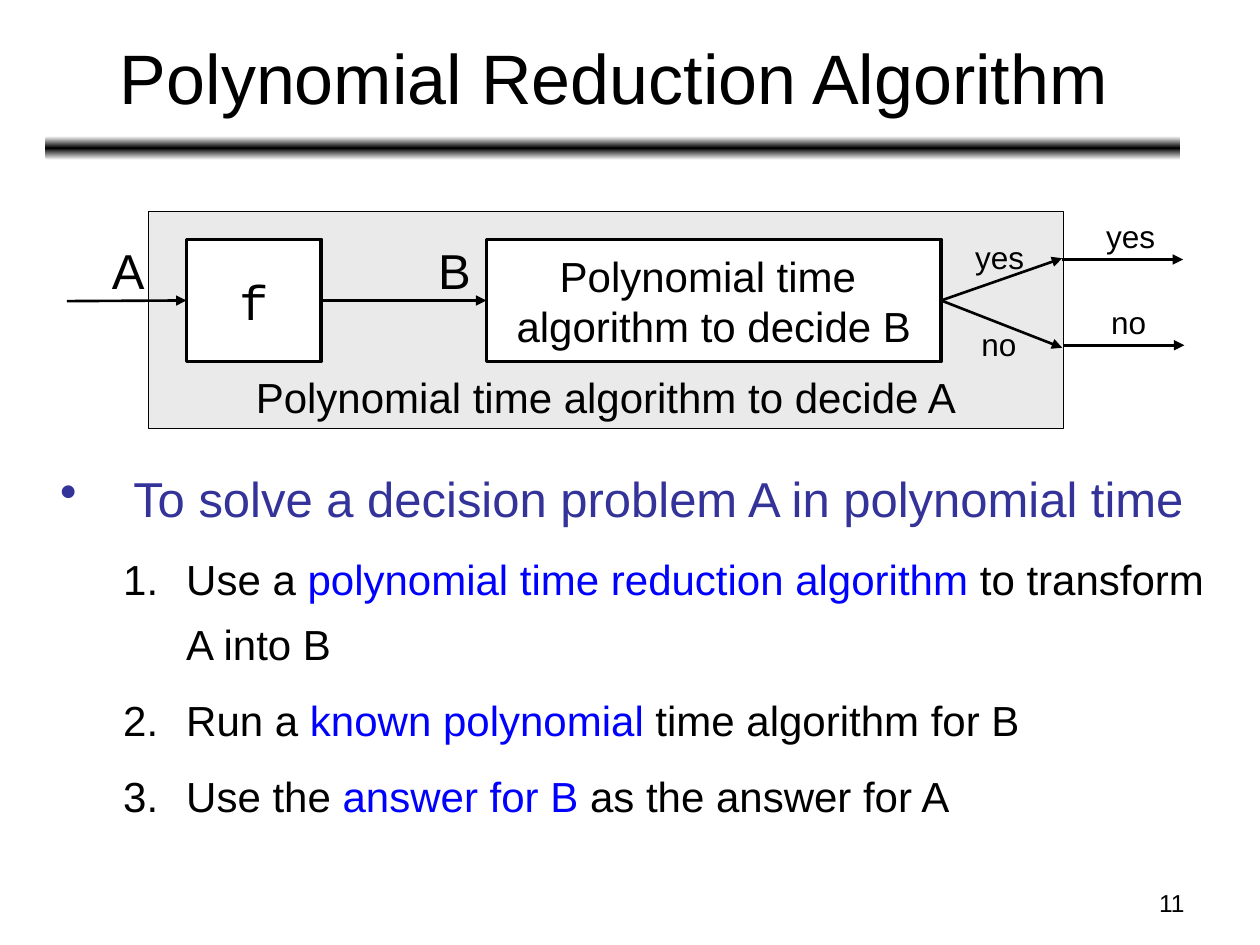
import copy
from dataclasses import dataclass
from typing import Optional

import pptx
import pptx.dml.color
import pptx.enum.shapes
import pptx.enum.text
import pptx.oxml.ns
import pptx.util
from lxml import etree
from pptx.util import Inches

BLACK, WHITE, GREY = "000000", "FFFFFF", "EAEAEA"
NAVY, BLUE = "333399", "0000FF"
ALIGN = pptx.enum.text.PP_ALIGN
ANCHOR = pptx.enum.text.MSO_ANCHOR
SHAPE = pptx.enum.shapes.MSO_SHAPE
qn = pptx.oxml.ns.qn
LEFT, RIGHT = 1, 3  # connection sites of a rectangle


@dataclass
class Box:
    x: float
    y: float
    w: float
    h: float
    lines: list[str]
    size: int = 24
    font: str = "Arial"
    fill: str = WHITE
    line: float = 2
    anchor: ANCHOR = ANCHOR.MIDDLE


@dataclass
class Label:
    x: float
    y: float
    w: float
    h: float
    text: str
    size: int
    align: ALIGN = ALIGN.LEFT
    wrap: bool = False
    anchor: ANCHOR = ANCHOR.TOP


@dataclass
class Arrow:
    x1: float
    y1: float
    x2: float
    y2: float
    source: Optional[str] = None
    target: Optional[str] = None


@dataclass
class Item:
    runs: list[tuple[str, str]]
    size: int
    indent: float
    hang: float
    before: int
    bullet: tuple[str, dict[str, str]]
    level: int = 0


def rgb(value: str) -> pptx.dml.color.RGBColor:
    return pptx.dml.color.RGBColor.from_string(value)


def add_run(p, text: str, size: int, color: str = BLACK, font: str = "Arial") -> None:
    r = p.add_run()
    r.text = text
    r.font.size = pptx.util.Pt(size)
    r.font.name = font
    r.font.color.rgb = rgb(color)


def add_rule(s) -> None:
    sp = s.shapes.add_shape(SHAPE.ROUNDED_RECTANGLE, Inches(0.36), Inches(1.08),
                            Inches(9.01), Inches(0.19))
    sp.shadow.inherit = False
    sp.line.fill.background()
    sp.fill.gradient()
    sp.fill.gradient_angle = 90
    stops = sp._element.spPr.find(qn("a:gradFill")).find(qn("a:gsLst"))
    stops.insert(1, copy.deepcopy(stops[0]))
    stops[1].set("pos", "50000")
    for stop, color in zip(sp.fill.gradient_stops, (WHITE, BLACK, WHITE)):
        stop.color.rgb = rgb(color)


def add_box(s, b: Box):
    sp = s.shapes.add_shape(SHAPE.RECTANGLE, Inches(b.x), Inches(b.y),
                            Inches(b.w), Inches(b.h))
    sp.shadow.inherit = False
    sp.fill.solid()
    sp.fill.fore_color.rgb = rgb(b.fill)
    sp.line.color.rgb = rgb(BLACK)
    sp.line.width = pptx.util.Pt(b.line)
    tf = sp.text_frame
    tf.word_wrap = False
    tf.vertical_anchor = b.anchor
    for i, text in enumerate(b.lines):
        p = tf.add_paragraph() if i else tf.paragraphs[0]
        p.alignment = ALIGN.CENTER
        add_run(p, text, b.size, font=b.font)
    return sp


def add_label(s, t: Label) -> None:
    sp = s.shapes.add_textbox(Inches(t.x), Inches(t.y), Inches(t.w), Inches(t.h))
    tf = sp.text_frame
    tf.word_wrap = t.wrap
    tf.vertical_anchor = t.anchor
    p = tf.paragraphs[0]
    p.alignment = t.align
    add_run(p, t.text, t.size)


def add_arrow(s, a: Arrow, boxes: dict) -> None:
    cx = s.shapes.add_connector(pptx.enum.shapes.MSO_CONNECTOR.STRAIGHT,
                                Inches(a.x1), Inches(a.y1), Inches(a.x2), Inches(a.y2))
    if a.source:
        cx.begin_connect(boxes[a.source], RIGHT)
    if a.target:
        cx.end_connect(boxes[a.target], LEFT)
    cx.line.color.rgb = rgb(BLACK)
    cx.line.width = pptx.util.Pt(1.5)
    etree.SubElement(cx.line._get_or_add_ln(), qn("a:tailEnd"), type="triangle")
    etree.SubElement(cx._element.spPr, qn("a:effectLst"))


def add_items(s, items: list[Item]) -> None:
    sp = s.shapes.add_textbox(Inches(0.38), Inches(3.53), Inches(9.3), Inches(3.35))
    tf = sp.text_frame
    tf.word_wrap = True
    for i, item in enumerate(items):
        p = tf.add_paragraph() if i else tf.paragraphs[0]
        p.level = item.level
        p.line_spacing = 1.3
        p.space_before = pptx.util.Pt(item.before)
        pPr = p._p.get_or_add_pPr()
        pPr.set("marL", str(Inches(item.indent)))
        pPr.set("indent", str(-Inches(item.hang)))
        tag, attrs = item.bullet
        etree.SubElement(pPr, qn(tag), attrs)
        for text, color in item.runs:
            add_run(p, text, item.size, color)


def step(before: str, key: str, after: str) -> Item:
    return Item([(before, BLACK), (key, BLUE), (after, BLACK)], 24, 1, 0.5, 6,
                ("a:buAutoNum", {"type": "arabicPeriod"}), 1)


BOXES = {
    "decide A": Box(1.18, 1.68, 7.26, 1.72, ["Polynomial time algorithm to decide A"],
                    fill=GREY, line=0.75, anchor=ANCHOR.BOTTOM),
    "f": Box(1.48, 1.9, 1.07, 0.97, ["f"], 28, "Courier New"),
    "decide B": Box(3.86, 1.9, 3.61, 0.97, ["Polynomial time ", "algorithm to decide B"]),
}
ARROWS = [
    Arrow(0.53, 2.39, 1.48, 2.39, target="f"),
    Arrow(2.55, 2.39, 3.86, 2.39, "f", "decide B"),
    Arrow(7.47, 2.39, 8.43, 2.05, "decide B"),
    Arrow(7.47, 2.39, 8.43, 2.76, "decide B"),
    Arrow(8.43, 2.06, 9.39, 2.06),
    Arrow(8.44, 2.74, 9.4, 2.74),
]
LABELS = [
    Label(0.37, 0.11, 9, 0.99, "Polynomial Reduction Algorithm", 40,
          ALIGN.CENTER, True, ANCHOR.MIDDLE),
    Label(0.79, 1.86, 0.46, 0.57, "A", 28),
    Label(3.38, 1.86, 0.46, 0.57, "B", 28),
    Label(7.64, 1.84, 0.59, 0.4, "yes", 18),
    Label(7.69, 2.53, 0.48, 0.4, "no", 18),
    Label(8.68, 1.67, 0.59, 0.4, "yes", 18),
    Label(8.72, 2.36, 0.48, 0.4, "no", 18),
    Label(7.17, 7, 2.33, 0.35, "11", 14, ALIGN.RIGHT, True),
]
ITEMS = [
    Item([("To solve a decision problem A in polynomial time", NAVY)], 28, 0.58, 0.58, 7,
         ("a:buChar", {"char": "•"})),
    step("Use a ", "polynomial time reduction algorithm", " to transform A into B"),
    step("Run a ", "known polynomial", " time algorithm for B"),
    step("Use the ", "answer for B", " as the answer for A"),
]


def main() -> None:
    prs = pptx.Presentation()
    prs.slide_width, prs.slide_height = Inches(10), Inches(7.5)
    s = prs.slides.add_slide(prs.slide_layouts[6])
    # Rule under the title
    add_rule(s)
    # Reduction diagram with its labels, title and page number
    boxes = {name: add_box(s, b) for name, b in BOXES.items()}
    for a in ARROWS:
        add_arrow(s, a, boxes)
    for t in LABELS:
        add_label(s, t)
    # Steps
    add_items(s, ITEMS)
    prs.save("out.pptx")


if __name__ == "__main__":
    main()
